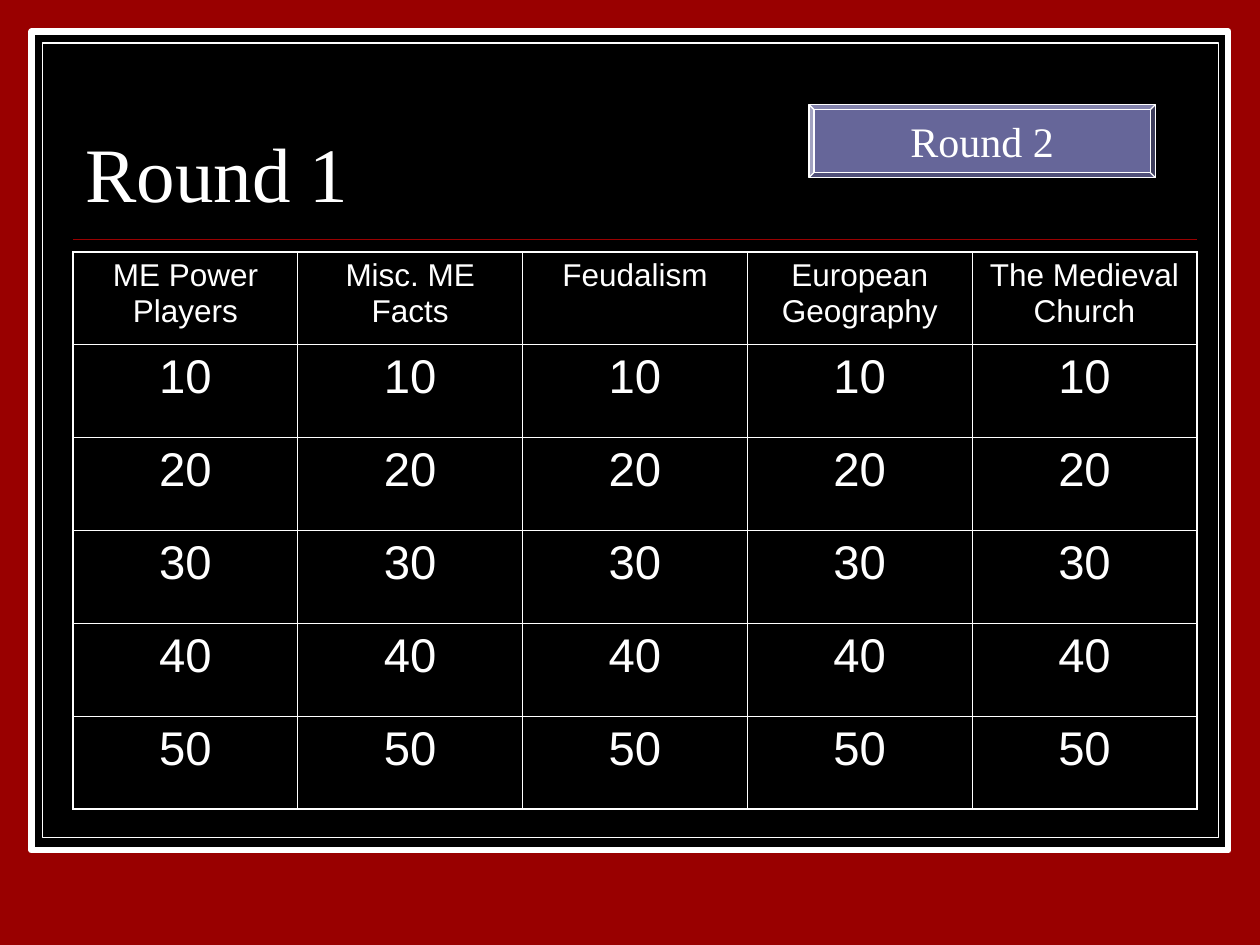
from dataclasses import dataclass

from lxml.etree import SubElement
from pptx import Presentation
from pptx.dml.color import RGBColor
from pptx.enum.shapes import MSO_CONNECTOR, MSO_SHAPE
from pptx.enum.text import MSO_ANCHOR, PP_ALIGN
from pptx.oxml.ns import qn
from pptx.util import Inches, Pt


@dataclass(frozen=True)
class Theme:
    red: RGBColor = RGBColor(0x99, 0x00, 0x00)
    black: RGBColor = RGBColor(0x00, 0x00, 0x00)
    white: RGBColor = RGBColor(0xFF, 0xFF, 0xFF)
    violet: RGBColor = RGBColor(0x66, 0x66, 0x99)
    serif: str = "Times New Roman"
    sans: str = "Arial"
    title_size: float = 44
    button_size: float = 24
    category_size: float = 18
    points_size: float = 27
    outer_border: float = 1.08
    inner_border: float = 0.45


def write(frame, text, *, font, size, color, align=PP_ALIGN.LEFT, spacing=1.0):
    paragraph = frame.paragraphs[0]
    paragraph.alignment = align
    paragraph.line_spacing = spacing
    run = paragraph.add_run()
    run.text = text
    run.font.name = font
    run.font.size = Pt(size)
    run.font.color.rgb = color


class GameBoard:
    def __init__(self, slide, theme):
        self.slide = slide
        self.theme = theme
        slide.background.fill.solid()
        slide.background.fill.fore_color.rgb = theme.red

    def panel(self, preset, left, top, width, height, fill, line_width):
        panel = self.slide.shapes.add_shape(
            preset, Inches(left), Inches(top), Inches(width), Inches(height))
        panel.shadow.inherit = False
        panel.fill.solid()
        panel.fill.fore_color.rgb = fill
        panel.line.color.rgb = self.theme.white
        panel.line.width = Pt(line_width)
        return panel

    def rule(self, left, right, y):
        rule = self.slide.shapes.add_connector(
            MSO_CONNECTOR.STRAIGHT, Inches(left), Inches(y), Inches(right), Inches(y))
        rule.line.color.rgb = self.theme.red
        rule.line.width = Pt(1)
        SubElement(rule._element.spPr, qn("a:effectLst"))

    def title(self, text, left, top, width, height):
        heading = self.slide.shapes.add_textbox(
            Inches(left), Inches(top), Inches(width), Inches(height)).text_frame
        heading.word_wrap = True
        heading.vertical_anchor = MSO_ANCHOR.BOTTOM
        write(heading, text, font=self.theme.serif, size=self.theme.title_size,
              color=self.theme.white, spacing=0.8)

    def button(self, text, left, top, width, height):
        button = self.panel(MSO_SHAPE.BEVEL, left, top, width, height, self.theme.violet, 0.75)
        button.adjustments[0] = 0.07
        label = button.text_frame
        label.word_wrap = False
        label.vertical_anchor = MSO_ANCHOR.MIDDLE
        write(label, text, font=self.theme.serif, size=self.theme.button_size,
              color=self.theme.white, align=PP_ALIGN.CENTER)

    def border(self, cell, side, outer):
        width = self.theme.outer_border if outer else self.theme.inner_border
        edge = SubElement(cell._tc.get_or_add_tcPr(), qn(f"a:ln{side}"), w=str(Pt(width)))
        fill = SubElement(edge, qn("a:solidFill"))
        SubElement(fill, qn("a:srgbClr"), val=str(self.theme.white))

    def table(self, rows, left, top, width, height):
        row_count, column_count = len(rows), len(rows[0])
        grid = self.slide.shapes.add_table(
            row_count, column_count,
            Inches(left), Inches(top), Inches(width), Inches(height)).table
        grid.first_row = False
        grid.horz_banding = False
        for r, row in enumerate(rows):
            size = self.theme.points_size if r else self.theme.category_size
            for c, text in enumerate(row):
                cell = grid.cell(r, c)
                outer_sides = {"L": c == 0, "R": c == column_count - 1,
                               "T": r == 0, "B": r == row_count - 1}
                for side, outer in outer_sides.items():
                    self.border(cell, side, outer)
                cell.fill.background()
                write(cell.text_frame, text, font=self.theme.sans, size=size,
                      color=self.theme.white, align=PP_ALIGN.CENTER)


def main():
    deck = Presentation()
    deck.slide_width, deck.slide_height = Inches(10), Inches(7.5)
    theme = Theme()
    board = GameBoard(deck.slides.add_slide(deck.slide_layouts[6]), theme)

    board.panel(MSO_SHAPE.RECTANGLE, 0.25, 0.25, 9.5, 6.5, theme.black, 3.5)
    board.panel(MSO_SHAPE.RECTANGLE, 0.34, 0.34, 9.33, 6.31, theme.black, 0.75)

    left, width = 0.58, 8.92
    board.rule(left, left + width, 1.9)
    board.title("Round 1", left, 0.52, width, 1.25)

    categories = ["ME Power Players", "Misc. ME Facts", "Feudalism",
                  "European Geography", "The Medieval Church"]
    points = [[str(value)] * len(categories) for value in range(10, 60, 10)]
    board.table([categories, *points], left, 2, width, 4.42)
    board.button("Round 2", 6.42, 0.83, 2.75, 0.58)

    deck.save("out.pptx")


if __name__ == "__main__":
    main()
